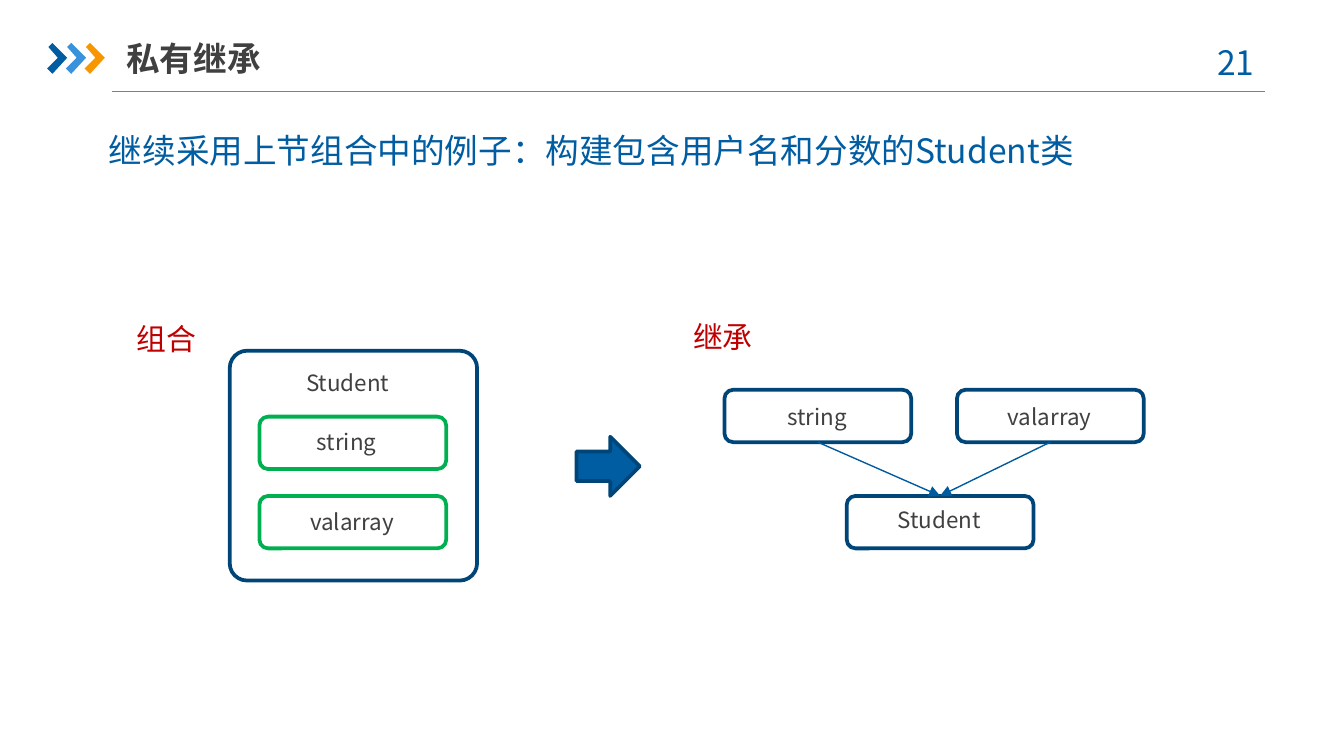
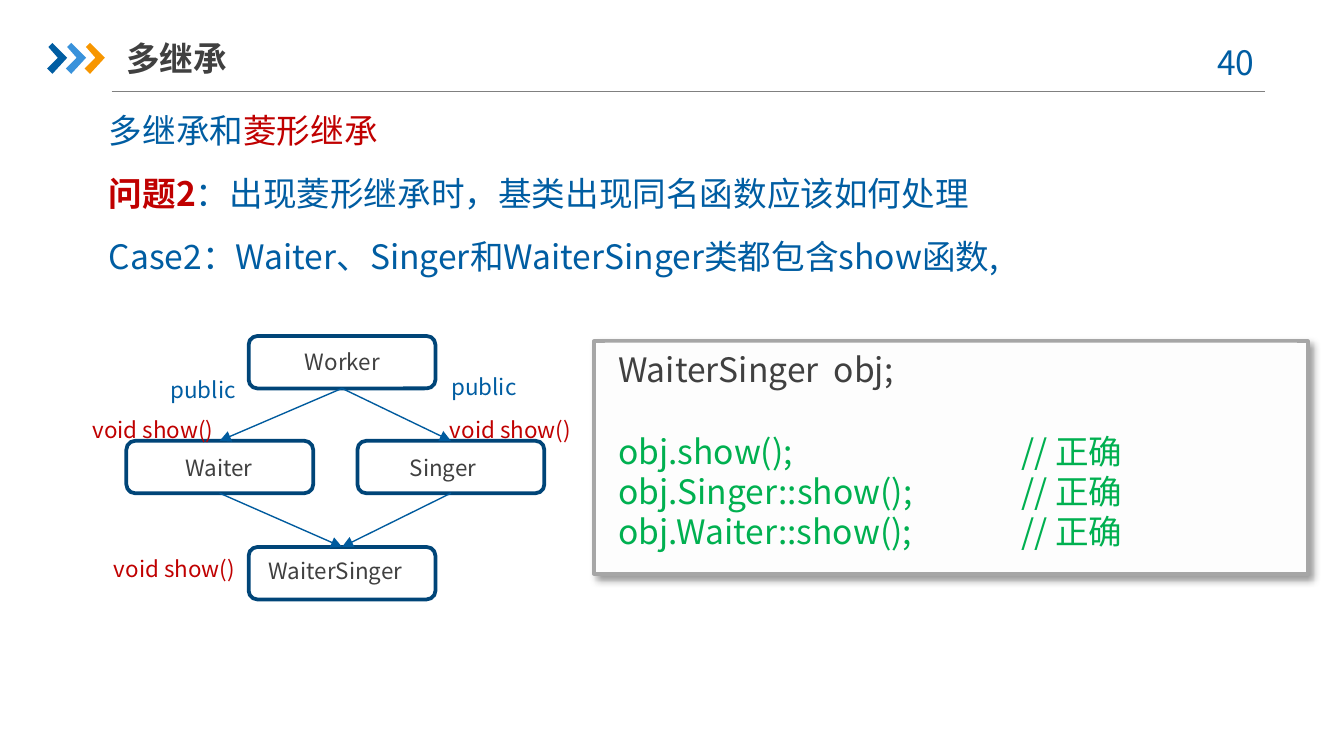
from lxml.etree import SubElement
from pptx import Presentation
from pptx.dml.color import RGBColor
from pptx.enum.shapes import MSO_CONNECTOR, MSO_SHAPE as Shape
from pptx.enum.text import MSO_ANCHOR as Anchor, MSO_AUTO_SIZE as AutoSize, PP_ALIGN as Align
from pptx.oxml.ns import qn
from pptx.util import Inches, Pt

FONT = "Noto Sans CJK SC"
BLUE, SKY, ORANGE = "005DA2", "3992DB", "F79600"
NAVY, LINK, GREEN, RED = "004578", "005B9E", "00B050", "C00000"
DARK, GRAY, SILVER, PAPER = "404040", "808080", "A6A6A6", "FDFDFD"
NODE_WIDTH, NODE_HEIGHT = 1.39, 0.39
TOP, BOTTOM = 0, 2


def color(value):
    return RGBColor.from_string(value)


def inches(*values):
    return [Inches(value) for value in values]


class SlideBuilder:
    def __init__(self, deck):
        self.deck = deck
        self.page = None

    def start(self, title, number):
        self.page = self.deck.slides.add_slide(self.deck.slide_layouts[1])
        self.line((0.83, 0.68), (9.41, 0.68), GRAY)
        for index, fill in enumerate((BLUE, SKY, ORANGE)):
            self.chevron(0.35 + 0.14 * index, fill)
        self.text(f"{number} ", (8.86, 0.26, 0.73, 0.4), 18, BLUE, wrap=True, align=Align.CENTER)
        box = self.page.shapes.title
        self.place(box, (0.94, 0.22, 2.57, 0.42))
        frame = box.text_frame
        frame.auto_size = AutoSize.NONE
        frame.vertical_anchor = Anchor.MIDDLE
        frame.margin_left = frame.margin_right = 0
        para = frame.paragraphs[0]
        para.alignment = Align.LEFT
        self.span(para, title, 18, DARK, True)

    def place(self, box, bounds):
        box.left, box.top, box.width, box.height = inches(*bounds)

    def span(self, para, text, size, ink, bold=False):
        run = para.add_run()
        run.text = text
        font = run.font
        font.name, font.size, font.bold = FONT, Pt(size), bold
        font.color.rgb = color(ink)
        SubElement(font._element, qn("a:ea")).set("typeface", FONT)

    def body(self, bounds, paragraphs):
        box = self.page.placeholders[1]
        self.place(box, bounds)
        frame = box.text_frame
        frame.auto_size = AutoSize.NONE
        for index, spans in enumerate(paragraphs):
            para = frame.add_paragraph() if index else frame.paragraphs[0]
            properties = para._p.get_or_add_pPr()
            properties.set("marL", "0")
            properties.set("indent", "0")
            SubElement(properties, qn("a:buNone"))
            para.alignment = Align.JUSTIFY
            para.space_before, para.space_after = Pt(0), Pt(12)
            for text, ink, bold in spans:
                self.span(para, text, 18, ink, bold)

    def text(self, text, bounds, size, ink, wrap=False, align=Align.LEFT):
        frame = self.page.shapes.add_textbox(*inches(*bounds)).text_frame
        frame.word_wrap = wrap
        frame.auto_size = AutoSize.SHAPE_TO_FIT_TEXT
        para = frame.paragraphs[0]
        para.alignment = align
        self.span(para, text, size, ink)

    def label(self, text, left, top, width, ink=DARK):
        self.text(text, (left, top, width, 0.3), 12, ink)

    def paint(self, shape, fill=None, outline=None):
        shape.shadow.inherit = False
        if fill:
            shape.fill.solid()
            shape.fill.fore_color.rgb = color(fill)
        else:
            shape.fill.background()
        if outline:
            shape.line.color.rgb = color(outline)
            shape.line.width = Pt(2)
        else:
            shape.line.fill.background()

    def shape(self, kind, bounds, fill=None, outline=None):
        shape = self.page.shapes.add_shape(kind, *inches(*bounds))
        self.paint(shape, fill, outline)
        return shape

    def chevron(self, left, fill):
        outline = [(0.01, 0.35), (0.04, 0.32), (0.15, 0.43), (0.04, 0.55), (0, 0.51), (0.08, 0.43)]
        points = [inches(left + x, y) for x, y in outline]
        builder = self.page.shapes.build_freeform(*points[0])
        builder.add_line_segments(points[1:], close=True)
        self.paint(builder.convert_to_shape(), fill)

    def node(self, text, left, top, label_x, label_y, label_width, outline=NAVY):
        shape = self.shape(Shape.ROUNDED_RECTANGLE, (left, top, NODE_WIDTH, NODE_HEIGHT), outline=outline)
        self.label(text, left + label_x, top + label_y, label_width)
        return shape

    def line(self, start, end, ink):
        line = self.page.shapes.add_connector(MSO_CONNECTOR.STRAIGHT, *inches(*start, *end))
        line.line.color.rgb = color(ink)
        line.line.width = Pt(0.75)
        SubElement(line._element.spPr, qn("a:effectLst"))
        return line

    def arrow(self, parent, child):
        line = self.line((0, 0), (1, 1), LINK)
        line.begin_connect(parent, BOTTOM)
        line.end_connect(child, TOP)
        SubElement(line.line._get_or_add_ln(), qn("a:tailEnd")).set("type", "triangle")

    def cast_shadow(self, shape):
        effects = shape._element.spPr.find(qn("a:effectLst"))
        shadow = SubElement(effects, qn("a:outerShdw"), blurRad=str(Pt(4)), dist=str(Pt(3)),
                            dir=str(45 * 60000), algn="tl", rotWithShape="0")
        ink = SubElement(shadow, qn("a:srgbClr"), val="000000")
        SubElement(ink, qn("a:alpha"), val="40000")

    def code(self, frame_bounds, bounds, lines):
        self.cast_shadow(self.shape(Shape.RECTANGLE, frame_bounds, PAPER, SILVER))
        frame = self.shape(Shape.RECTANGLE, bounds, PAPER).text_frame
        frame.word_wrap = True
        frame.vertical_anchor = Anchor.TOP
        for index, (text, ink, gap) in enumerate(lines):
            para = frame.add_paragraph() if index else frame.paragraphs[0]
            tabs = SubElement(para._p.get_or_add_pPr(), qn("a:tabLst"))
            SubElement(tabs, qn("a:tab"), pos=str(Inches(3)), algn="l")
            para.alignment = Align.LEFT
            para.space_before = Pt(gap)
            self.span(para, text, 18, ink)


def private_inheritance(slide):
    slide.start("私有继承", 21)
    slide.body((0.71, 0.92, 8.58, 0.4),
               [[("继续采用上节组合中的例子：构建包含用户名和分数的Student类", BLUE, False)]])

    string = slide.node("string", 5.39, 2.9, 0.37, 0.05, 0.66)
    valarray = slide.node("valarray", 7.12, 2.9, 0.28, 0.05, 0.83)
    student = slide.node("Student", 6.3, 3.69, 0.28, 0.03, 0.83)
    for parent in (string, valarray):
        slide.arrow(parent, student)
    slide.text("继承", (5.06, 2.32, 1.84, 0.37), 16, RED, wrap=True)

    outer = slide.shape(Shape.ROUNDED_RECTANGLE, (1.71, 2.61, 1.84, 1.71), outline=NAVY)
    outer.adjustments[0] = 0.075
    slide.label("Student", 2.18, 2.7, 0.83)
    slide.node("string", 1.93, 3.1, 0.33, 0.04, 0.66, GREEN)
    slide.node("valarray", 1.93, 3.69, 0.28, 0.04, 0.83, GREEN)
    slide.text("组合", (0.92, 2.34, 2.99, 0.37), 16, RED, wrap=True)
    slide.shape(Shape.RIGHT_ARROW, (4.29, 3.25, 0.47, 0.44), BLUE, NAVY)


def multiple_inheritance(slide):
    slide.start("多继承", 40)
    slide.body((0.71, 0.77, 8.58, 1.35), [
        [("多继承和", BLUE, False), ("菱形继承", RED, False)],
        [("问题2", RED, True), ("：出现菱形继承时，基类出现同名函数应该如何处理", BLUE, False)],
        [("Case2：Waiter、Singer和WaiterSinger类都包含show函数,", BLUE, False)],
    ])

    waiter = slide.node("Waiter", 0.94, 3.28, 0.34, 0.05, 0.73)
    singer = slide.node("Singer", 2.66, 3.28, 0.29, 0.05, 0.71)
    worker = slide.node("Worker", 1.85, 2.5, 0.32, 0.04, 0.79)
    waiter_singer = slide.node("WaiterSinger", 1.85, 4.07, 0.05, 0.03, 1.24)
    for middle in (waiter, singer):
        slide.arrow(worker, middle)
        slide.arrow(middle, waiter_singer)
    for left, top in ((0.59, 3.05), (3.25, 3.05), (0.75, 4.08)):
        slide.label("void show()", left, top, 1.13, RED)
    for left, top in ((1.17, 2.75), (3.26, 2.73)):
        slide.label("public", left, top, 0.69, BLUE)

    slide.code((4.42, 2.54, 5.31, 1.73), (4.5, 2.55, 5.15, 1.62), [
        ("WaiterSinger  obj;", DARK, 0),
        ("obj.show();\t// 正确", GREEN, 22),
        ("obj.Singer::show();\t// 正确", GREEN, 0),
        ("obj.Waiter::show();\t// 正确", GREEN, 0),
    ])


def main():
    deck = Presentation()
    deck.slide_width = Inches(10)
    deck.slide_height = deck.slide_width * 9 // 16
    slide = SlideBuilder(deck)
    private_inheritance(slide)
    multiple_inheritance(slide)
    deck.save("out.pptx")


if __name__ == "__main__":
    main()
